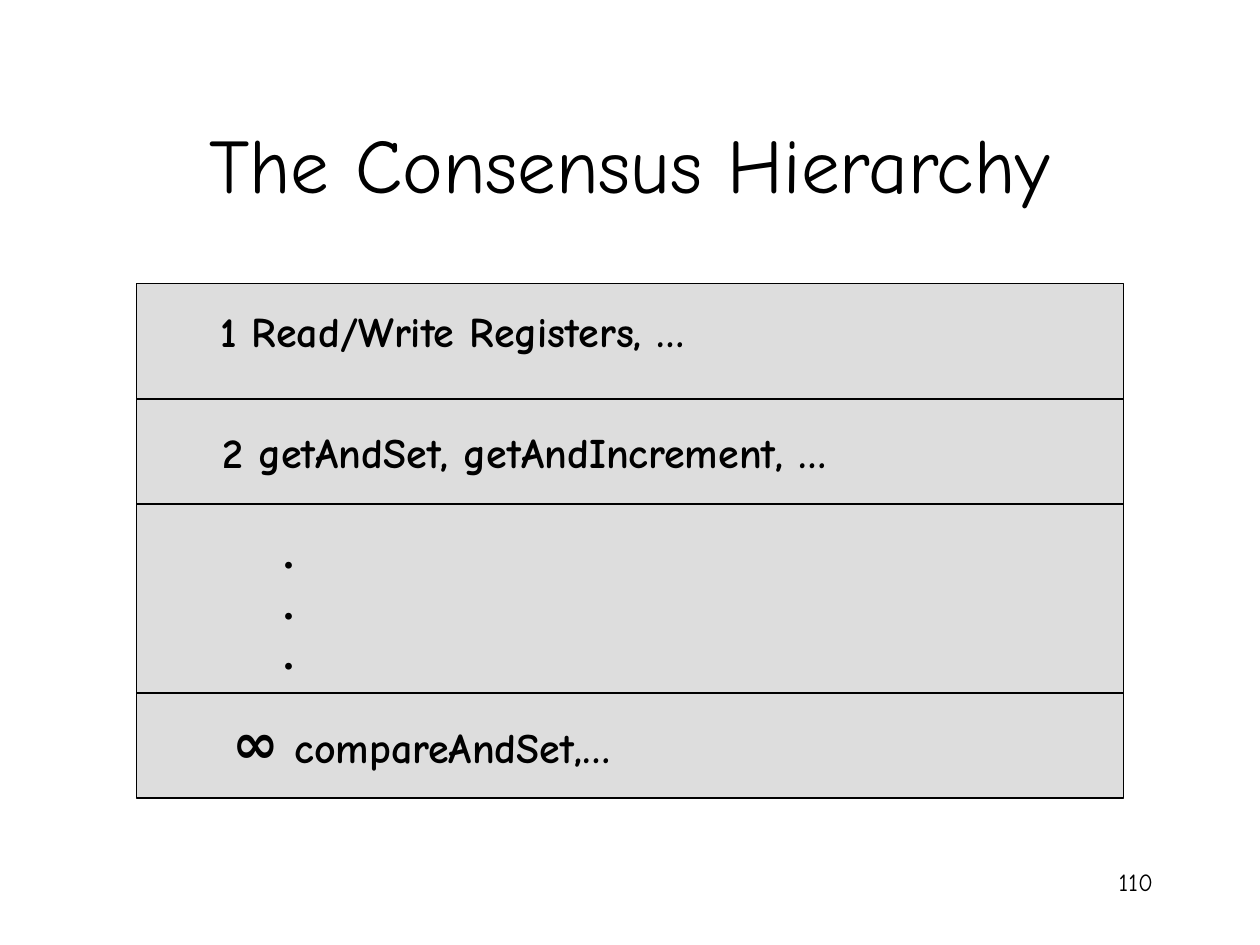
from pptx import Presentation
from pptx.dml.color import RGBColor
from pptx.enum.shapes import MSO_CONNECTOR as Conn, MSO_SHAPE as Shape
from pptx.enum.text import MSO_ANCHOR as Anchor, MSO_AUTO_SIZE as Fit, PP_ALIGN as Align
from pptx.oxml.ns import qn
from pptx.util import Inches, Pt
from lxml import etree

COLORS = {"ink": "000000", "panel": "DDDDDD"}
FONT, SERIF = "Comic Neue", "Times New Roman"
CELL = 1 / 12  # grid of 120 columns by 90 rows


def color(name):
    return RGBColor.from_string(COLORS[name])


def grid(*cells):
    return [Inches(n * CELL) for n in cells]


class Page:
    def __init__(self, deck):
        self.shapes = deck.slides.add_slide(deck.slide_layouts[6]).shapes

    def style(self, line):
        line.color.rgb = color("ink")
        line.width = Pt(0.75)

    def panel(self, *box):
        shape = self.shapes.add_shape(Shape.RECTANGLE, *grid(*box))
        shape.shadow.inherit = False
        shape.fill.solid()
        shape.fill.fore_color.rgb = color("panel")
        self.style(shape.line)

    def rule(self, left, right, row):
        line = self.shapes.add_connector(Conn.STRAIGHT, *grid(left, row, right, row))
        self.style(line.line)
        etree.SubElement(line._element.spPr, qn("a:effectLst"))

    def text(self, box, paras, size, font=FONT, bold=False,
             align=Align.LEFT, anchor=Anchor.TOP, wrap=False):
        """Each paragraph is a list of runs: a string, or (string, size)."""
        frame = self.shapes.add_textbox(*grid(*box)).text_frame
        frame.word_wrap = wrap
        frame.auto_size = Fit.NONE if wrap else Fit.SHAPE_TO_FIT_TEXT
        frame.vertical_anchor = anchor
        for i, runs in enumerate(paras):
            para = frame.add_paragraph() if i else frame.paragraphs[0]
            para.alignment = align
            face = para.font
            face.name, face.size, face.bold = font, Pt(size), bold
            face.color.rgb = color("ink")
            for part in runs:
                run = para.add_run()
                if isinstance(part, tuple):
                    run.text, run.font.size = part[0], Pt(part[1])
                else:
                    run.text = part


def main():
    deck = Presentation()
    deck.slide_width, deck.slide_height = grid(120, 90)
    page = Page(deck)

    # Title and page number
    page.text((9, 8, 102, 15), [["The Consensus Hierarchy"]], 44,
              align=Align.CENTER, anchor=Anchor.MIDDLE, wrap=True)
    page.text((86, 82, 25, 6), [["110"]], 14, align=Align.RIGHT, wrap=True)

    # Panel split into levels
    left, wide = 13, 94
    page.panel(left, 27, wide, 49)
    for row in (38, 48, 66):
        page.rule(left, left + wide, row)

    # Levels
    levels = [
        ((19.8, 28.5, 55.7, 6), ["1 Read/Write Registers, …"]),
        ((20, 40, 70, 6), ["2 getAndSet, getAndIncrement, …"]),
        ((21, 66.8, 43, 7.5), [("∞", 32), " compareAndSet,…"]),
    ]
    for box, runs in levels:
        page.text(box, [runs], 24, bold=True)

    # Dots for the levels between
    page.text((25.8, 49.6, 3.4, 15.6), [["."]] * 3, 24, font=SERIF, bold=True)

    deck.save("out.pptx")


if __name__ == "__main__":
    main()
